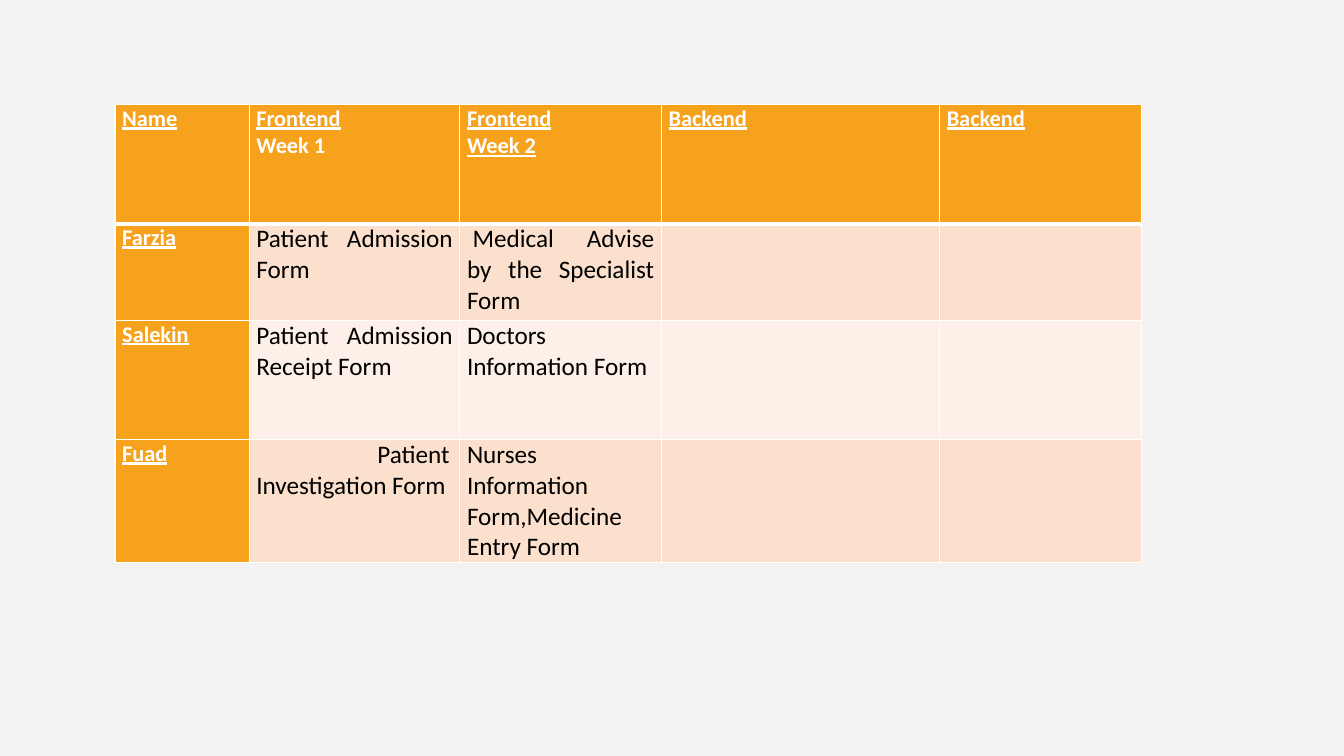
"""Build the slide with the weekly form assignments of each team member."""
from dataclasses import dataclass

import lxml.etree
import pptx
import pptx.dml.color
import pptx.enum.text
import pptx.oxml.ns
import pptx.table
import pptx.util

Cm = pptx.util.Cm
Pt = pptx.util.Pt


@dataclass(frozen=True)
class Theme:
    font: str = "Calibri"
    backdrop: str = "F2F2F2"
    heading_fill: str = "F6A21D"
    heading_text: str = "FFFFFF"
    body_text: str = "000000"
    bands: tuple[str, str] = ("FBE0CD", "FDF0E8")
    border: str = "FFFFFF"
    heading_size: int = 16
    body_size: int = 18
    thin: int = 1
    thick: int = 3


@dataclass(frozen=True)
class Phrase:
    text: str
    underline: bool = True
    indent_cm: float = 0


@dataclass(frozen=True)
class Member:
    name: str
    week_1: Phrase
    week_2: Phrase


THEME = Theme()
HEADINGS = (
    (Phrase("Name"),),
    (Phrase("Frontend"), Phrase("Week 1", underline=False)),
    (Phrase("Frontend"), Phrase("Week 2")),
    (Phrase("Backend"),),
    (Phrase("Backend"),),
)
MEMBERS = (
    Member("Farzia", Phrase("Patient Admission Form", False),
           Phrase("\u00a0Medical Advise by the Specialist Form", False)),
    Member("Salekin", Phrase("Patient Admission Receipt Form", False),
           Phrase("Doctors Information Form", False)),
    Member("Fuad", Phrase("Patient Investigation Form", False, indent_cm=3.05),
           Phrase("Nurses Information Form,Medicine Entry Form", False)),
)
COLUMN_WIDTHS = (3.38, 5.31, 5.08, 7.01, 5.08)
ROW_HEIGHTS = (3, 2.44, 3, 2.79)


def rgb(colour: str) -> pptx.dml.color.RGBColor:
    return pptx.dml.color.RGBColor.from_string(colour)


def draw_borders(cell: pptx.table._Cell, row: int) -> None:
    properties = cell._tc.get_or_add_tcPr()
    thick_side = {0: "B", 1: "T"}.get(row)
    for side in "LRTB":
        width = THEME.thick if side == thick_side else THEME.thin
        line = lxml.etree.SubElement(
            properties, pptx.oxml.ns.qn(f"a:ln{side}"), w=str(Pt(width)))
        fill = lxml.etree.SubElement(line, pptx.oxml.ns.qn("a:solidFill"))
        lxml.etree.SubElement(fill, pptx.oxml.ns.qn("a:srgbClr"), val=THEME.border)


def fill_cell(cell: pptx.table._Cell, row: int, column: int,
              phrases: tuple[Phrase, ...]) -> None:
    heading = row == 0 or column == 0
    draw_borders(cell, row)
    cell.fill.solid()
    cell.fill.fore_color.rgb = rgb(
        THEME.heading_fill if heading else THEME.bands[(row - 1) % 2])
    cell.margin_left = cell.margin_right = Cm(0.18)
    cell.margin_top = cell.margin_bottom = 0
    for index, phrase in enumerate(phrases):
        paragraph = (cell.text_frame.add_paragraph() if index
                     else cell.text_frame.paragraphs[0])
        paragraph.alignment = pptx.enum.text.PP_ALIGN.JUSTIFY
        if phrase.indent_cm:
            paragraph._p.get_or_add_pPr().set("indent", str(Cm(phrase.indent_cm)))
        run = paragraph.add_run()
        run.text = phrase.text
        run.font.name = THEME.font
        run.font.size = Pt(THEME.heading_size if heading else THEME.body_size)
        run.font.bold = heading
        run.font.underline = phrase.underline
        run.font.color.rgb = rgb(
            THEME.heading_text if heading else THEME.body_text)


def main() -> None:
    presentation = pptx.Presentation()
    presentation.slide_width, presentation.slide_height = Cm(33.87), Cm(19.05)
    slide = presentation.slides.add_slide(presentation.slide_layouts[6])
    slide.background.fill.solid()
    slide.background.fill.fore_color.rgb = rgb(THEME.backdrop)

    schedule = slide.shapes.add_table(
        len(ROW_HEIGHTS), len(COLUMN_WIDTHS), Cm(2.9), Cm(2.64),
        Cm(sum(COLUMN_WIDTHS)), Cm(sum(ROW_HEIGHTS))).table
    for column, width in zip(schedule.columns, COLUMN_WIDTHS):
        column.width = Cm(width)
    for row, height in zip(schedule.rows, ROW_HEIGHTS):
        row.height = Cm(height)

    assignments = [((Phrase(member.name),), (member.week_1,), (member.week_2,), (), ())
                   for member in MEMBERS]
    for row, entries in enumerate([HEADINGS, *assignments]):
        for column, phrases in enumerate(entries):
            fill_cell(schedule.cell(row, column), row, column, phrases)

    presentation.save("out.pptx")


main()
